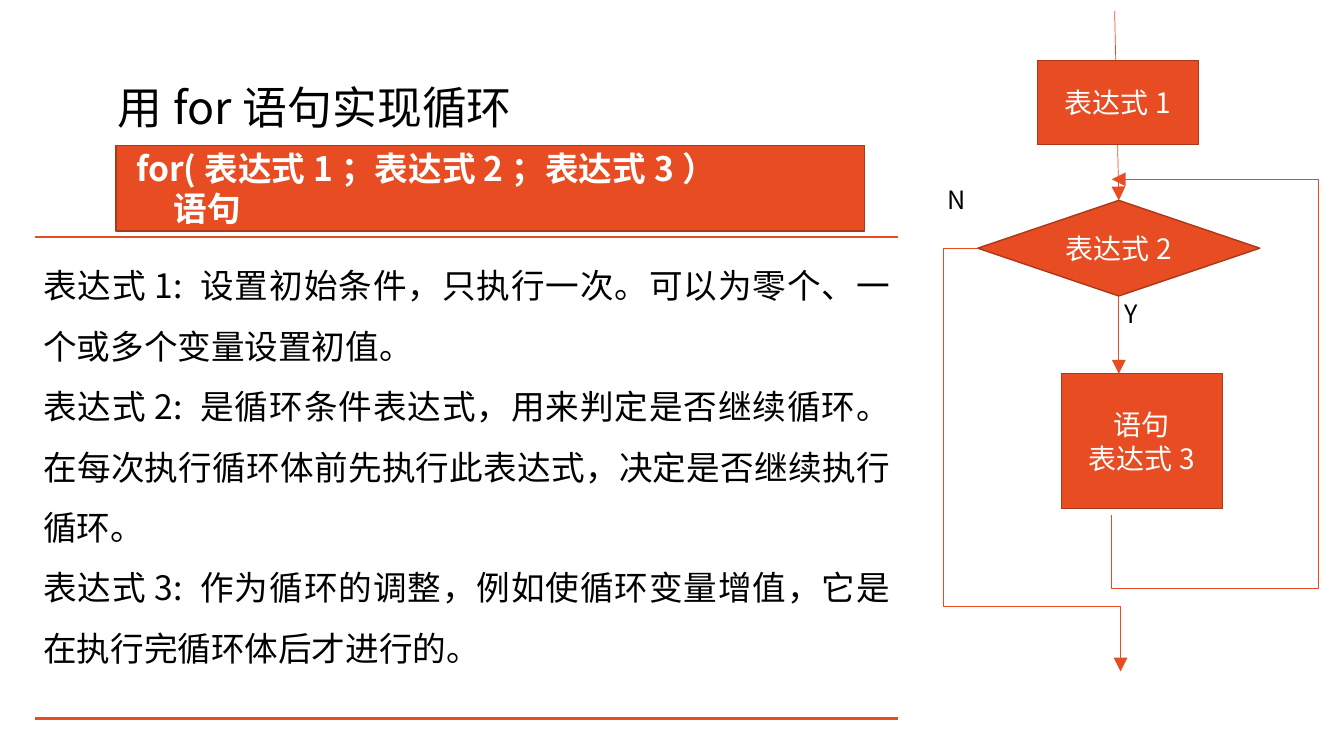
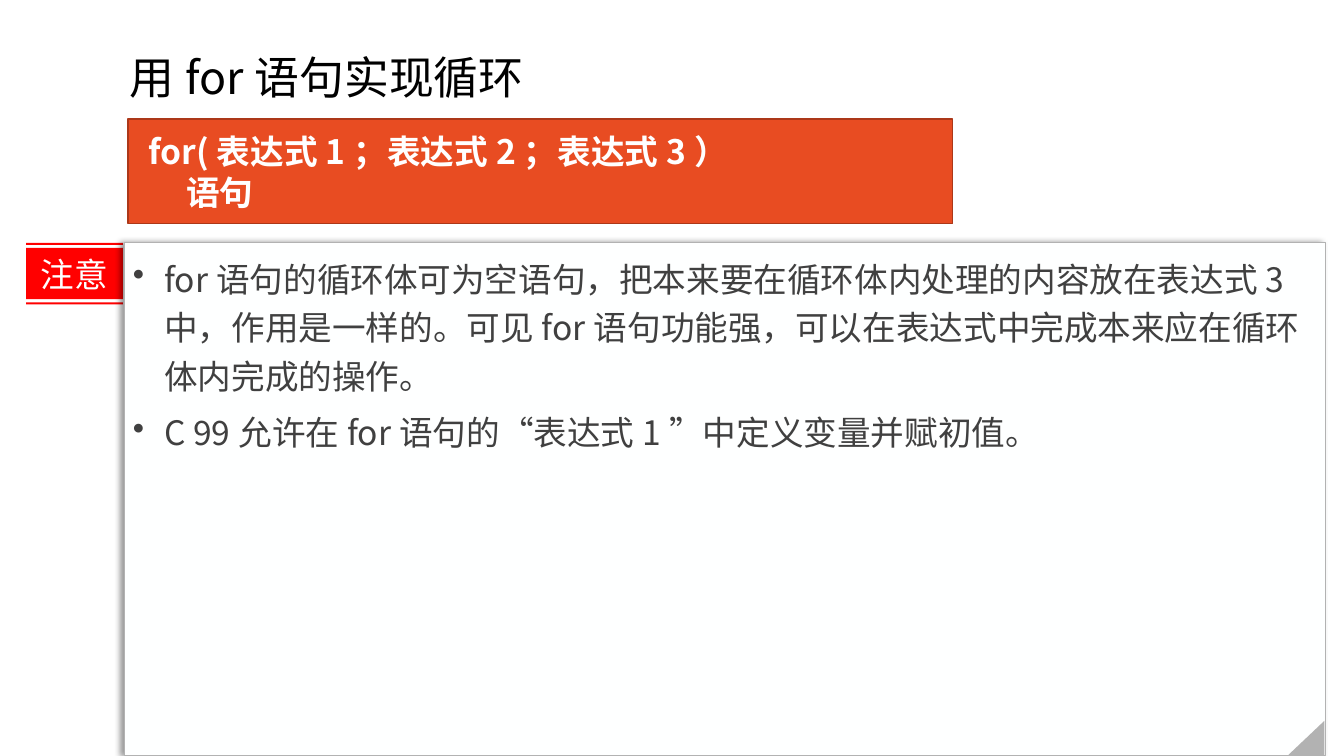
from dataclasses import dataclass

from lxml.etree import SubElement
from pptx import Presentation
from pptx.dml.color import RGBColor
from pptx.enum.shapes import MSO_CONNECTOR, MSO_SHAPE
from pptx.enum.text import MSO_ANCHOR, PP_ALIGN
from pptx.oxml.ns import qn
from pptx.util import Cm, Pt


@dataclass(frozen=True)
class Theme:
    font: str = "Noto Sans CJK SC"
    accent: str = "E84C22"
    outline: str = "AC3819"
    black: str = "000000"
    white: str = "FFFFFF"
    paper: str = "FEFFFF"
    grey_text: str = "404040"
    grey: str = "B2B2B2"
    alert: str = "FF0000"
    title_size: int = 32
    body_size: int = 24
    step_size: int = 20
    branch_size: int = 18
    thin: float = 0.5
    border: float = 1
    rule: float = 2


THEME = Theme()

# Content
TITLE = "用for语句实现循环"
SYNTAX = ["for(表达式1；表达式2；表达式3）", "语句"]
EXPLANATION = [
    "表达式1: 设置初始条件，只执行一次。可以为零个、一个或多个变量设置初值。",
    "表达式2: 是循环条件表达式，用来判定是否继续循环。在每次执行循环体前先执行此表达式，"
    "决定是否继续执行循环。",
    "表达式3: 作为循环的调整，例如使循环变量增值，它是在执行完循环体后才进行的。",
]
NOTICE = "注意"
NOTES = [
    "for语句的循环体可为空语句，把本来要在循环体内处理的内容放在表达式3中，作用是一样的。"
    "可见for语句功能强，可以在表达式中完成本来应在循环体内完成的操作。",
    "C 99允许在for语句的“表达式1”中定义变量并赋初值。",
]

# Flowchart, in cm: (left, top, width, height) or corner points
INITIAL_STEP = (["表达式1"], (26.14, 1.52, 4.06, 2.13))
CONDITION = (["表达式2"], (24.64, 5.05, 7.11, 2.41))
BODY_STEP = (["语句", "表达式3"], (26.75, 9.42, 4.06, 3.4))
ENTRY = (28.09, 0.28)
LOOP_BACK = [(28.02, 12.98), (28.02, 14.83), (33.22, 14.83), (33.22, 4.52), (28.02, 4.52)]
EXIT = [(24.61, 6.27), (23.77, 6.27), (23.77, 15.29), (28.24, 15.29), (28.24, 16.92)]
BRANCHES = [("Y", 28.09, 7.39), ("N", 23.62, 4.52)]


def color(value):
    return RGBColor.from_string(value)


def write(shape, lines, size, ink, align=PP_ALIGN.LEFT, anchor=MSO_ANCHOR.MIDDLE,
          bold=False, spacing=None, after=None, insets=None, indents=(), bullet=None):
    """Fill a shape with paragraphs; indents holds (margin, first line) per line."""
    frame = shape.text_frame
    frame.word_wrap = True
    frame.vertical_anchor = anchor
    if insets:
        (frame.margin_left, frame.margin_top,
         frame.margin_right, frame.margin_bottom) = map(Cm, insets)
    for index, line in enumerate(lines):
        para = frame.add_paragraph() if index else frame.paragraphs[0]
        properties = para._p.get_or_add_pPr()
        if indents:
            margin, first = indents[index]
            properties.set("marL", str(Cm(margin)))
            properties.set("indent", str(Cm(first)))
        if bullet:
            SubElement(properties, qn("a:buChar"), char=bullet)
        para.alignment = align
        if spacing:
            para.line_spacing = spacing
        if after:
            para.space_after = Pt(after)
        span = para.add_run()
        span.text = line
        span.font.size = Pt(size)
        span.font.bold = bold
        span.font.color.rgb = color(ink)
        span.font.name = THEME.font
        SubElement(span._r.get_or_add_rPr(), qn("a:ea"), typeface=THEME.font)


def paint(shape, fill=None, line=None, width=THEME.border):
    shape.shadow.inherit = False
    if fill:
        shape.fill.solid()
        shape.fill.fore_color.rgb = color(fill)
    else:
        shape.fill.background()
    if line:
        shape.line.color.rgb = color(line)
        shape.line.width = Pt(width)
    else:
        shape.line.fill.background()
    return shape


def add_box(page, kind, place, fill=THEME.accent, line=THEME.outline, width=THEME.border):
    return paint(page.shapes.add_shape(kind, *map(Cm, place)), fill, line, width)


def add_text(page, place, lines, size, ink, **style):
    write(page.shapes.add_textbox(*map(Cm, place)), lines, size, ink, **style)


def add_outline(page, contours, closed):
    contours = [[(Cm(x), Cm(y)) for x, y in contour] for contour in contours]
    builder = page.shapes.build_freeform(*contours[0][0])
    for index, (start, *others) in enumerate(contours):
        if index:
            builder.move_to(*start)
        builder.add_line_segments(others, close=closed)
    return builder.convert_to_shape()


def add_arrowhead(shape):
    SubElement(shape.line._get_or_add_ln(), qn("a:tailEnd"), type="triangle", w="lg", len="lg")


def add_line(page, start, end, width):
    line = page.shapes.add_connector(MSO_CONNECTOR.STRAIGHT, *map(Cm, (*start, *end)))
    line.line.color.rgb = color(THEME.accent)
    line.line.width = Pt(width)
    SubElement(line._element.spPr, qn("a:effectLst"))
    return line


def add_shadow(shape):
    effects = shape._element.spPr.find(qn("a:effectLst"))
    shadow = SubElement(effects, qn("a:outerShdw"), blurRad=str(Pt(4)), dist=str(Pt(3)),
                        dir=str(180 * 60000), algn="r", rotWithShape="0")
    ink = SubElement(shadow, qn("a:srgbClr"), val=THEME.black)
    SubElement(ink, qn("a:alpha"), val="40000")


def start_page(deck, title_place, syntax_place):
    """Add a page with the shared title and syntax band."""
    page = deck.slides.add_slide(deck.slide_layouts[6])
    add_text(page, title_place, [TITLE], THEME.title_size, THEME.black, spacing=0.9)
    band = add_box(page, MSO_SHAPE.RECTANGLE, syntax_place)
    write(band, SYNTAX, THEME.body_size, THEME.white, bold=True,
          insets=(0.51, 0.13, 0.25, 0.13), indents=[(0, 0), (0.95, 0)])
    return page


def add_step(page, kind, step):
    lines, place = step
    box = add_box(page, kind, place)
    write(box, lines, THEME.step_size, THEME.white, align=PP_ALIGN.CENTER)
    return box


def add_flowchart(page):
    # Arrow into the condition lies behind the first step
    entry = add_line(page, ENTRY, ENTRY, THEME.thin)
    condition = add_step(page, MSO_SHAPE.FLOWCHART_DECISION, CONDITION)
    entry.end_connect(condition, 0)
    left, top, width, height = CONDITION[1]
    middle = left + width / 2
    yes = add_line(page, (middle, top + height), (middle, BODY_STEP[1][1]), THEME.thin)
    yes.begin_connect(condition, 2)
    add_step(page, MSO_SHAPE.RECTANGLE, BODY_STEP)
    routes = [paint(add_outline(page, [points], False), None, THEME.accent, THEME.thin)
              for points in (LOOP_BACK, EXIT)]
    for arrow in (entry, yes, *routes):
        add_arrowhead(arrow)
    for label, x, y in BRANCHES:
        add_text(page, (x, y, 1.5, 2.11), [label], THEME.branch_size, THEME.black,
                 anchor=MSO_ANCHOR.TOP)
    add_step(page, MSO_SHAPE.RECTANGLE, INITIAL_STEP)


def build_syntax_page(deck):
    page = start_page(deck, (2.72, 0.94, 16.46, 3.68), (2.92, 3.66, 18.87, 2.16))
    left, top, width, height = 0.89, 5.97, 21.74, 12.14
    for y in (top, top + height):
        add_line(page, (left, y), (left + width, y), THEME.rule)
    add_text(page, (left, top, width, height), EXPLANATION, THEME.body_size, THEME.black,
             align=PP_ALIGN.JUSTIFY, anchor=MSO_ANCHOR.TOP, spacing=1.5, insets=(0.2,) * 4)
    add_flowchart(page)


def build_notice_page(deck):
    page = start_page(deck, (3.02, 1.02, 23.37, 2.01), (3.23, 3, 20.78, 2.64))
    # Label: a band between two thin stripes
    left, right = 0.66, 3.1
    stripes = [(7.62, 7.67), (6.25, 7.54), (6.12, 6.17)]
    contours = [[(left, top), (right, top), (right, bottom), (left, bottom)]
                for top, bottom in stripes]
    label = paint(add_outline(page, contours, True), THEME.alert)
    write(label, [NOTICE], THEME.body_size, THEME.paper, align=PP_ALIGN.CENTER)
    # Sheet of notes with a folded corner
    sheet = add_box(page, MSO_SHAPE.RECTANGLE, (3.15, 6.12, 30.25, 12.93),
                    THEME.paper, THEME.grey, 0.75)
    add_shadow(sheet)
    write(sheet, NOTES, THEME.body_size, THEME.grey_text, anchor=MSO_ANCHOR.TOP,
          spacing=1.2, after=6, insets=(0.2,) * 4,
          indents=[(0.79, -0.79)] * len(NOTES), bullet="•")
    corner = add_box(page, MSO_SHAPE.RIGHT_TRIANGLE, (32.46, 18.14, 0.89, 0.94),
                     THEME.grey, None)
    corner.rotation = 270


def main():
    deck = Presentation()
    deck.slide_width, deck.slide_height = Cm(33.87), Cm(19.05)
    build_syntax_page(deck)
    build_notice_page(deck)
    deck.save("out.pptx")


if __name__ == "__main__":
    main()
